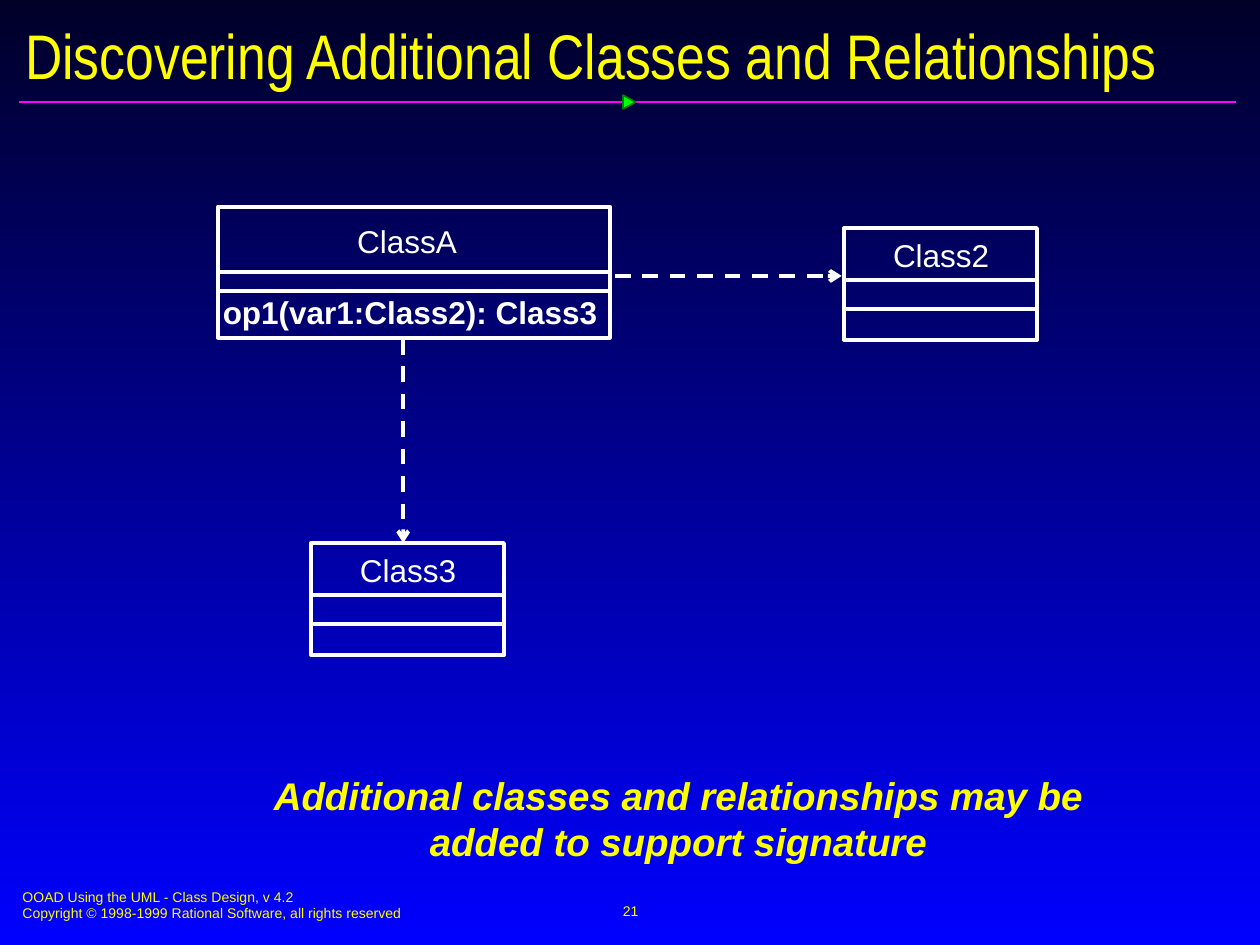
from lxml.etree import SubElement
from pptx import Presentation
from pptx.dml.color import RGBColor
from pptx.enum.dml import MSO_LINE
from pptx.enum.shapes import MSO_CONNECTOR, MSO_SHAPE
from pptx.enum.text import MSO_ANCHOR, MSO_AUTO_SIZE, PP_ALIGN
from pptx.oxml.ns import qn
from pptx.util import Inches, Pt

# Content
TITLE = "Discovering Additional Classes and Relationships"
REMARK = "Additional classes and relationships may be added to support signature"
FOOTER = ["OOAD Using the UML - Class Design, v 4.2",
          "Copyright © 1998-1999 Rational Software, all rights reserved"]
PAGE = "21"
OPERATION = "op1(var1:Class2): Class3"

# Class boxes: frame, heights of the dividers below the top, box of the name
SMALL = {"size": (1.53, 0.89), "dividers": (0.41, 0.64), "name_at": (0.39, 0.06, 0.76, 0.3)}
LARGE = {"size": (3.11, 1.04), "dividers": (0.52, 0.67), "name_at": (0.73, 0.12, 1.54, 0.3)}
CLASSES = [("ClassA", 1.73, 1.64, LARGE),
           ("Class2", 6.7, 1.81, SMALL),
           ("Class3", 2.47, 4.31, SMALL)]
DEPENDENCIES = [((4.88, 2.19), (6.68, 2.19)),
                ((3.2, 2.69), (3.2, 4.31))]

YELLOW, WHITE, MAGENTA = "FFFF00", "FFFFFF", "FF01FF"
GREEN, DARK_GREEN = "00FF00", "037C03"
SKY = ("000028", "0000FF")
RULE_Y = 0.81

prs = Presentation()
prs.slide_width, prs.slide_height = Inches(10), Inches(7.5)
slide = prs.slides.add_slide(prs.slide_layouts[5])


def rgb(value):
    return RGBColor.from_string(value)


def write(frame, text, size=18, color=WHITE, font="Arial", bold=False, italic=False,
          align=PP_ALIGN.LEFT, anchor=MSO_ANCHOR.TOP, inset=(0.1, 0.05), wrap=True):
    frame.auto_size = MSO_AUTO_SIZE.NONE
    frame.word_wrap, frame.vertical_anchor = wrap, anchor
    frame.margin_left = frame.margin_right = Inches(inset[0])
    frame.margin_top = frame.margin_bottom = Inches(inset[1])
    frame.text = text
    for paragraph in frame.paragraphs:
        paragraph.alignment = align
        for run in paragraph.runs:
            run.font.name, run.font.size = font, Pt(size)
            run.font.bold, run.font.italic = bold, italic
            run.font.color.rgb = rgb(color)


def add_text(box, text, **style):
    write(slide.shapes.add_textbox(*map(Inches, box)).text_frame, text, **style)


def add_preset(preset, box, line, width, fill=None):
    shape = slide.shapes.add_shape(preset, *map(Inches, box))
    shape.shadow.inherit = False
    if fill:
        shape.fill.solid()
        shape.fill.fore_color.rgb = rgb(fill)
    else:
        shape.fill.background()
    shape.line.color.rgb, shape.line.width = rgb(line), Pt(width)
    return shape


def add_line(start, end, color=WHITE, width=2.25, arrow=False):
    connector = slide.shapes.add_connector(MSO_CONNECTOR.STRAIGHT, *map(Inches, (*start, *end)))
    connector.line.color.rgb, connector.line.width = rgb(color), Pt(width)
    if arrow:
        connector.line.dash_style = MSO_LINE.DASH
        SubElement(connector.line._get_or_add_ln(), qn("a:tailEnd"), type="arrow")
    SubElement(connector._element.spPr, qn("a:effectLst"))


def add_class(name, left, top, form):
    width, height = form["size"]
    add_preset(MSO_SHAPE.RECTANGLE, (left, top, width, height), WHITE, 2.25)
    for drop in form["dividers"]:
        add_line((left, top + drop), (left + width, top + drop))
    dx, dy, name_width, name_height = form["name_at"]
    add_text((left + dx, top + dy, name_width, name_height), name,
             align=PP_ALIGN.CENTER, inset=(0, 0), wrap=False)


# Background
sky = slide.background.fill
sky.gradient()
sky.gradient_angle = 270
for stop, color in zip(sky.gradient_stops, SKY):
    stop.color.rgb = rgb(color)

# Title with its rule and marker
title = slide.shapes.title
title.left, title.top, title.width, title.height = map(Inches, (0.1, 0.14, 9.84, 0.58))
write(title.text_frame, TITLE, size=36, color=YELLOW, font="Arial Narrow",
      anchor=MSO_ANCHOR.MIDDLE)
add_line((0.15, RULE_Y), (9.81, RULE_Y), color=MAGENTA, width=1)
marker = add_preset(MSO_SHAPE.ISOSCELES_TRIANGLE, (4.94, RULE_Y - 0.05, 0.11, 0.1),
                    DARK_GREEN, 1, fill=GREEN)
marker.rotation = 90

# Class diagram
for entry in CLASSES:
    add_class(*entry)
add_text((1.67, 2.28, 3.17, 0.4), OPERATION, bold=True, wrap=False)
for start, end in DEPENDENCIES:
    add_line(start, end, arrow=True)

# Remark, footer and page number
add_text((2.01, 6.08, 6.75, 0.84), REMARK, size=22, color=YELLOW, bold=True, italic=True,
         align=PP_ALIGN.CENTER)
add_text((0.08, 7, 5.1, 0.37), "\n".join(FOOTER), size=8, color=YELLOW)
add_text((3.42, 6.98, 3.17, 0.5), PAGE, size=8, color=YELLOW, align=PP_ALIGN.CENTER,
         anchor=MSO_ANCHOR.MIDDLE, wrap=False)

prs.save("out.pptx")
